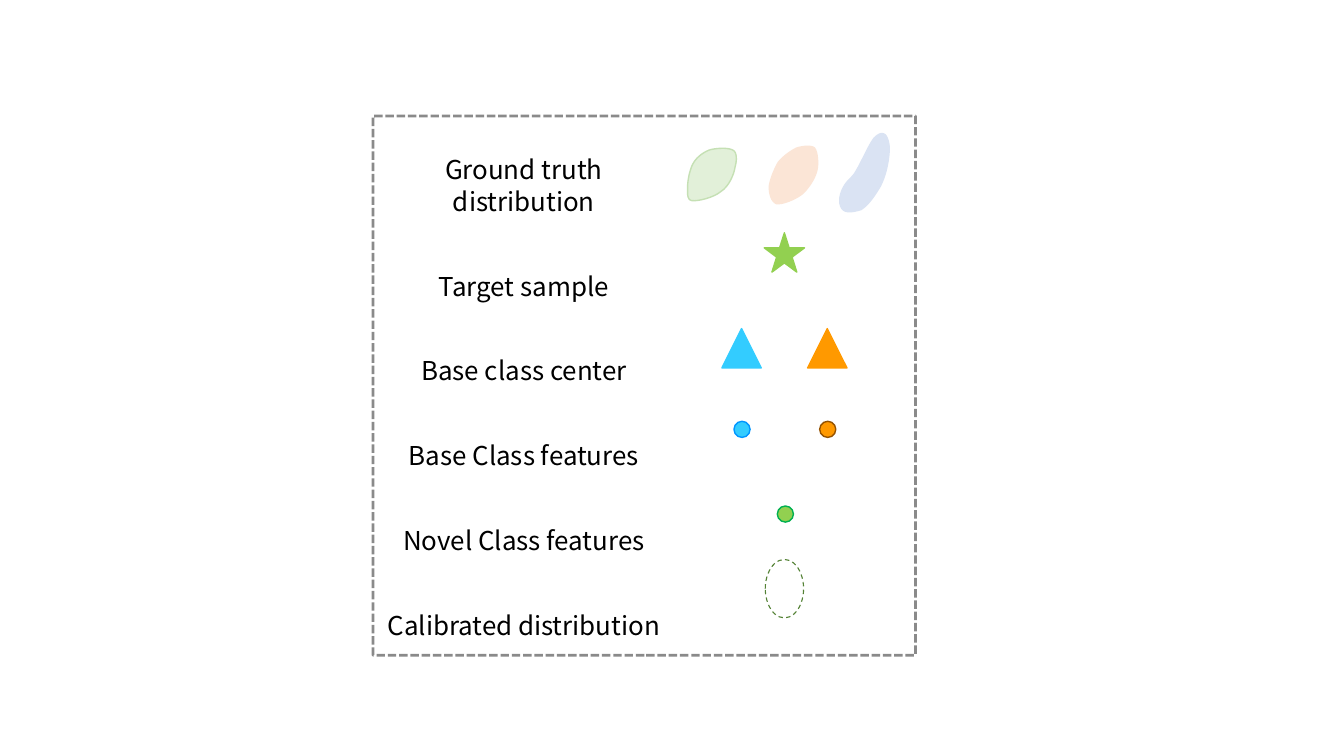
from lxml.etree import SubElement
from pptx import Presentation
from pptx.dml.color import RGBColor
from pptx.enum.dml import MSO_LINE
from pptx.enum.shapes import MSO_SHAPE
from pptx.enum.text import PP_ALIGN
from pptx.oxml.ns import qn
from pptx.util import Inches, Pt


def color(hex_code):
    return RGBColor.from_string(hex_code)


def write(paragraph, text, size=18.5, font="Noto Sans CJK SC", fill="000000",
          align=PP_ALIGN.CENTER, line=22.2, before=0):
    paragraph.alignment = align
    paragraph.line_spacing = Pt(line)
    paragraph.space_before = Pt(before)
    run = paragraph.add_run()
    run.text = text
    run.font.size = Pt(size)
    run.font.name = font
    run.font.color.rgb = color(fill)


prs = Presentation()
prs.slide_width, prs.slide_height = Inches(13.33), Inches(7.5)
slide = prs.slides.add_slide(prs.slide_layouts[6])
shapes = slide.shapes

# Ground truth distributions: start point, then (control, control, end) curves
distributions = [
    ("E2F0D9", "C5E0B4", (7.03, 1.49), [
        ((6.96, 1.52), (6.90, 1.57), (6.87, 1.63)),
        ((6.84, 1.69), (6.82, 1.79), (6.82, 1.85)),
        ((6.82, 1.91), (6.81, 1.98), (6.86, 1.99)),
        ((6.92, 2.00), (7.08, 1.96), (7.15, 1.90)),
        ((7.23, 1.85), (7.28, 1.73), (7.29, 1.66)),
        ((7.31, 1.59), (7.31, 1.51), (7.27, 1.49)),
        ((7.22, 1.46), (7.09, 1.47), (7.03, 1.49))]),
    ("FBE5D6", "FBE5D6", (7.90, 1.47), [
        ((7.84, 1.50), (7.77, 1.55), (7.72, 1.61)),
        ((7.68, 1.68), (7.64, 1.78), (7.63, 1.85)),
        ((7.63, 1.92), (7.65, 2.00), (7.70, 2.02)),
        ((7.76, 2.03), (7.88, 1.98), (7.95, 1.93)),
        ((8.01, 1.88), (8.08, 1.78), (8.10, 1.70)),
        ((8.12, 1.63), (8.11, 1.51), (8.08, 1.47)),
        ((8.05, 1.44), (7.96, 1.45), (7.90, 1.47))]),
    ("DAE3F3", "DAE3F3", (8.79, 1.35), [
        ((8.76, 1.31), (8.72, 1.32), (8.67, 1.37)),
        ((8.61, 1.45), (8.56, 1.58), (8.49, 1.70)),
        ((8.45, 1.77), (8.41, 1.78), (8.37, 1.85)),
        ((8.33, 1.92), (8.31, 2.01), (8.35, 2.07)),
        ((8.38, 2.11), (8.44, 2.11), (8.54, 2.08)),
        ((8.62, 2.03), (8.68, 1.93), (8.73, 1.85)),
        ((8.78, 1.75), (8.81, 1.64), (8.82, 1.49)),
        ((8.82, 1.43), (8.81, 1.39), (8.79, 1.35))]),
]

# Frame, samples, centers and features: preset, left, top, width, height, fill, line, weight
symbols = [
    (MSO_SHAPE.RECTANGLE, 3.7, 1.15, 5.38, 5.35, None, "595959", 2),
    (MSO_SHAPE.OVAL, 7.59, 5.55, 0.38, 0.58, None, "548235", 0.8),
    (MSO_SHAPE.STAR_5_POINT, 7.58, 2.31, 0.4, 0.39, "92D050", "92D050", 1),
    (MSO_SHAPE.FLOWCHART_CONNECTOR, 7.71, 5.02, 0.16, 0.16, "92D050", "00B050", 1),
]
for center, fill, outline in [(7.36, "33CCFF", "0096FF"), (8.21, "FF9900", "945200")]:
    symbols += [
        (MSO_SHAPE.FLOWCHART_EXTRACT, center - 0.2, 3.26, 0.39, 0.39, fill, fill, 1),
        (MSO_SHAPE.FLOWCHART_CONNECTOR, center - 0.08, 4.18, 0.16, 0.16, fill, outline, 1),
    ]

drawn = []
for preset, left, top, width, height, fill, outline, weight in symbols:
    symbol = shapes.add_shape(preset, Inches(left), Inches(top), Inches(width), Inches(height))
    drawn.append((symbol, fill, outline, weight))

steps = 8
for fill, outline, start, curves in distributions:
    points = [start]
    for control_1, control_2, end in curves:
        begin = points[-1]
        for t in [step / steps for step in range(1, steps + 1)]:
            points.append(tuple(
                (1 - t) ** 3 * a + 3 * (1 - t) ** 2 * t * b + 3 * (1 - t) * t ** 2 * c + t ** 3 * d
                for a, b, c, d in zip(begin, control_1, control_2, end)))
    builder = shapes.build_freeform(Inches(start[0]), Inches(start[1]))
    builder.add_line_segments([(Inches(x), Inches(y)) for x, y in points[1:]], close=True)
    drawn.append((builder.convert_to_shape(), fill, outline, 1))

# Fill and outline of every symbol
for symbol, fill, outline, weight in drawn:
    symbol.shadow.inherit = False
    if fill:
        symbol.fill.solid()
        symbol.fill.fore_color.rgb = color(fill)
    else:
        symbol.fill.background()
    symbol.line.color.rgb = color(outline)
    symbol.line.width = Pt(weight)

# Dashes, and 70 % opacity for the frame
frame, calibrated = drawn[0][0], drawn[1][0]
frame.line.dash_style = MSO_LINE.SQUARE_DOT
calibrated.line.dash_style = MSO_LINE.DASH
frame_color = frame._element.spPr.find(qn("a:ln")).find(".//" + qn("a:srgbClr"))
SubElement(frame_color, qn("a:alpha"), val="70000")

# Legend labels
legend = shapes.add_textbox(Inches(3.69), Inches(1.48), Inches(3.01), Inches(4.66)).text_frame
legend.word_wrap = True
labels = ["Ground truth distribution", "Target sample", "Base class center",
          "Base Class features", "Novel Class features", "Calibrated distribution"]
for row, label in enumerate(labels):
    paragraph = legend.add_paragraph() if row else legend.paragraphs[0]
    write(paragraph, label, before=38.5 if row else 0)

prs.save("out.pptx")
